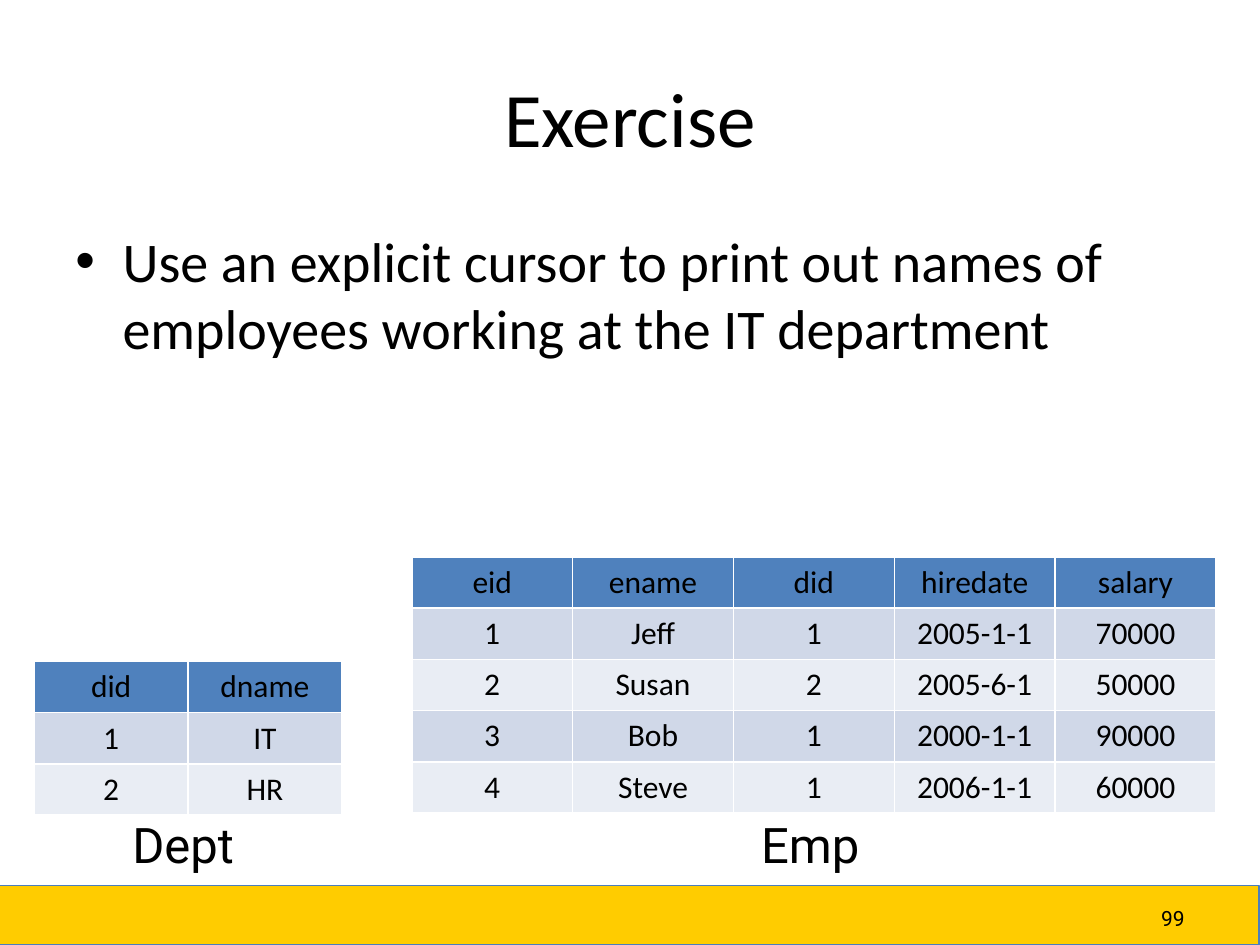
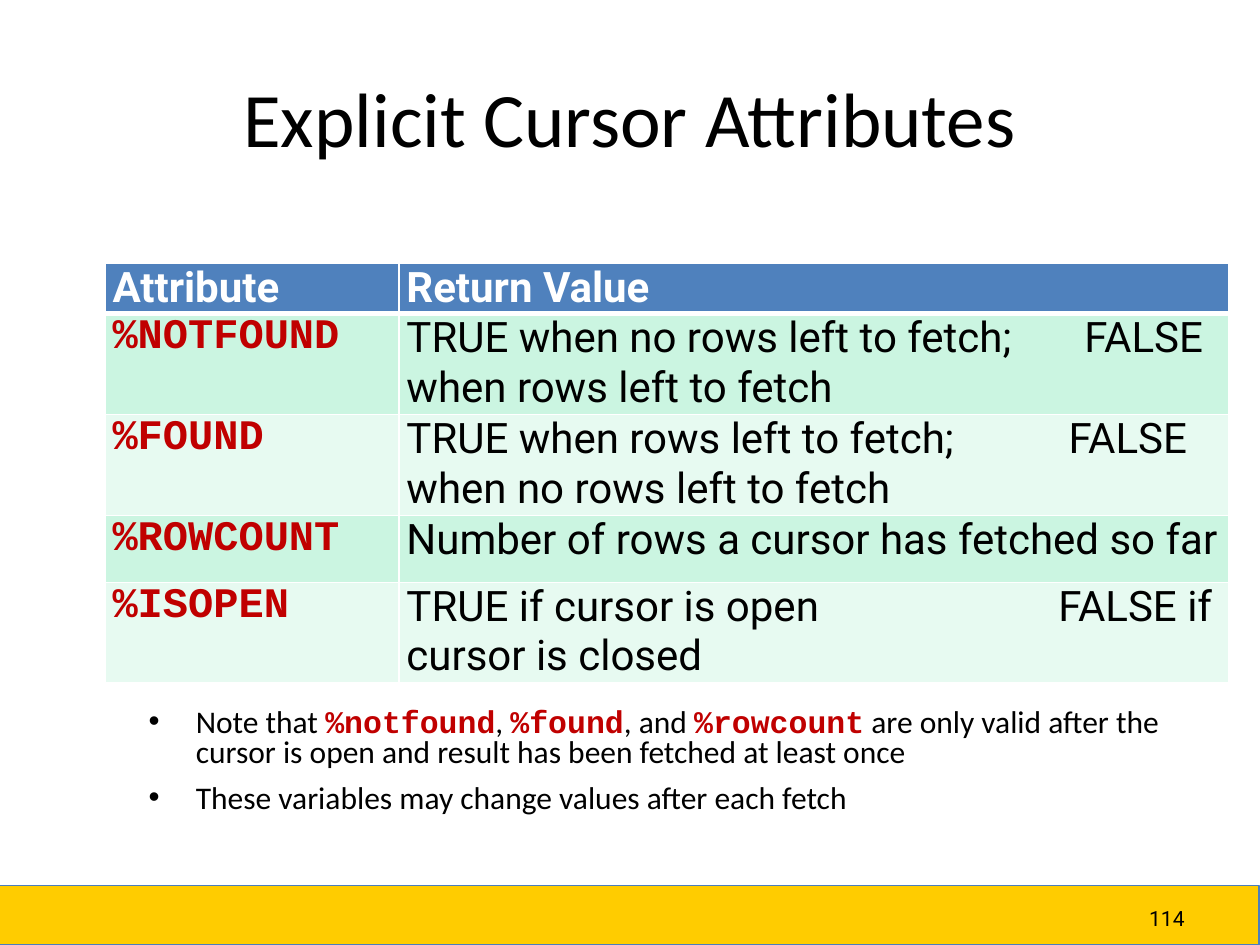
from lxml.etree import SubElement
from pptx import Presentation
from pptx.dml.color import RGBColor
from pptx.enum.shapes import MSO_SHAPE
from pptx.enum.text import MSO_ANCHOR, MSO_AUTO_SIZE, PP_ALIGN
from pptx.oxml.ns import qn
from pptx.util import Pt

EXERCISE = "Use an explicit cursor to print out names of employees working at the IT department"
DEPT_ROWS = [("did", "dname"), ("1", "IT"), ("2", "HR")]
EMP_ROWS = [
    ("eid", "ename", "did", "hiredate", "salary"),
    ("1", "Jeff", "1", "2005-1-1", "70000"),
    ("2", "Susan", "2", "2005-6-1", "50000"),
    ("3", "Bob", "1", "2000-1-1", "90000"),
    ("4", "Steve", "1", "2006-1-1", "60000"),
]
ATTRIBUTE_ROWS = [
    ("Attribute", "Return Value"),
    ("%NOTFOUND", "TRUE when no rows left to fetch;\tFALSE when rows left to fetch"),
    ("%FOUND", "TRUE when rows left to fetch;\tFALSE when no rows left to fetch"),
    ("%ROWCOUNT", "Number of rows a cursor has fetched so far"),
    ("%ISOPEN", "TRUE if cursor is open\tFALSE if cursor is closed"),
]
FALSE_TAB_STOPS = {1: 387.4, 2: 378.3, 4: 372.5}
ATTRIBUTE_NOTES = [
    ("Note that ", "%notfound", ", ", "%found", ", and ", "%rowcount",
     " are only valid after the cursor is open and result has been fetched at least once"),
    ("These variables may change values after each fetch",),
]

BLACK = RGBColor(0x00, 0x00, 0x00)
WHITE = RGBColor(0xFF, 0xFF, 0xFF)
GOLD = RGBColor(0xFF, 0xCC, 0x00)
BAND_LINE = RGBColor(0x4B, 0x7E, 0xBC)
HEADER_BLUE = RGBColor(0x4F, 0x81, 0xBD)
CODE_RED = RGBColor(0xC0, 0x00, 0x00)
BLUE_STRIPES = (RGBColor(0xD0, 0xD8, 0xE8), RGBColor(0xE9, 0xED, 0xF4))
GREEN_STRIPES = (RGBColor(0xCB, 0xF5, 0xE1), RGBColor(0xE7, 0xFA, 0xF1))

BODY_FONT, LABEL_FONT, CODE_FONT = "Calibri", "Roboto", "Courier New"
INDENT = 27


def write_text(frame, paragraphs, size, font=BODY_FONT, color=BLACK, bold=False,
               align=PP_ALIGN.LEFT, bullet=False, line_spacing=None, space_before=0, tab_stop=None):
    """Fill a frame with paragraphs of pieces; pieces that start with % are set as code."""
    for index, pieces in enumerate(paragraphs):
        paragraph = frame.add_paragraph() if index else frame.paragraphs[0]
        paragraph.alignment = align
        paragraph.space_before = Pt(space_before)
        if line_spacing:
            paragraph.line_spacing = line_spacing
        properties = paragraph._p.get_or_add_pPr()
        if bullet:
            properties.set("marL", str(Pt(INDENT)))
            properties.set("indent", str(-Pt(INDENT)))
            SubElement(properties, qn("a:buFont"), typeface="Arial")
            SubElement(properties, qn("a:buChar"), char="•")
        if tab_stop:
            tabs = SubElement(properties, qn("a:tabLst"))
            SubElement(tabs, qn("a:tab"), pos=str(Pt(tab_stop)), algn="l")
        for piece in pieces:
            is_code = piece.startswith("%")
            run = paragraph.add_run()
            run.text = piece
            run.font.size = Pt(size)
            run.font.name = CODE_FONT if is_code else font
            run.font.bold = is_code or bold
            run.font.color.rgb = CODE_RED if is_code else color


def add_text(slide, box, paragraphs, size, wrap=True, anchor=MSO_ANCHOR.TOP, side_inset=7.2, **style):
    """Add a text box at the given left, top, width and height."""
    frame = slide.shapes.add_textbox(*map(Pt, box)).text_frame
    frame.word_wrap = wrap
    frame.vertical_anchor = anchor
    frame.margin_left = frame.margin_right = Pt(side_inset)
    write_text(frame, paragraphs, size, **style)


def set_borders(cell, top=1, bottom=1):
    """Draw white borders around a table cell."""
    properties = cell._tc.get_or_add_tcPr()
    for index, (side, width) in enumerate(zip("LRTB", (1, 1, top, bottom))):
        line = properties.makeelement(qn(f"a:ln{side}"), {"w": str(Pt(width))})
        fill = SubElement(line, qn("a:solidFill"))
        SubElement(fill, qn("a:srgbClr"), val=str(WHITE))
        properties.insert(index, line)


def add_striped_table(slide, left, top, rows, widths, heights, stripes, size, insets=(7.2, 3.6),
                      header_line=1, header_style=None, tab_stops=None, **style):
    """Add a table with a blue header and alternating row fills."""
    shape = slide.shapes.add_table(len(rows), len(widths), Pt(left), Pt(top),
                                   Pt(sum(widths)), Pt(sum(heights)))
    table = shape.table
    for column, width in zip(table.columns, widths):
        column.width = Pt(width)
    for row_index, (row, height, texts) in enumerate(zip(table.rows, heights, rows)):
        row.height = Pt(height)
        is_header = row_index == 0
        row_style = {**style, **(header_style or {})} if is_header else style
        for cell, text in zip(row.cells, texts):
            cell.margin_left = cell.margin_right = Pt(insets[0])
            cell.margin_top = cell.margin_bottom = Pt(insets[1])
            cell.fill.solid()
            cell.fill.fore_color.rgb = HEADER_BLUE if is_header else stripes[(row_index - 1) % 2]
            set_borders(cell, top=header_line if row_index == 1 else 1,
                        bottom=header_line if is_header else 1)
            tab_stop = (tab_stops or {}).get(row_index) if "\t" in text else None
            write_text(cell.text_frame, [(text,)], size, tab_stop=tab_stop, **row_style)


def add_slide(presentation, title, number):
    """Add a slide with its title, gold footer band and slide number."""
    slide = presentation.slides.add_slide(presentation.slide_layouts[5])
    band = slide.shapes.add_shape(MSO_SHAPE.RECTANGLE, Pt(-0.6), Pt(506), Pt(720), Pt(34))
    band.shadow.inherit = False
    band.fill.solid()
    band.fill.fore_color.rgb = GOLD
    band.line.color.rgb = BAND_LINE
    band.line.width = Pt(0.75)
    heading = slide.shapes.title
    heading.left, heading.top, heading.width, heading.height = map(Pt, (36, 21.6, 648, 90))
    heading.text_frame.auto_size = MSO_AUTO_SIZE.NONE
    heading.text_frame.vertical_anchor = MSO_ANCHOR.MIDDLE
    write_text(heading.text_frame, [(title,)], 44, align=PP_ALIGN.CENTER)
    add_text(slide, (516, 510, 168, 28.8), [(number,)], 12, font=LABEL_FONT,
             align=PP_ALIGN.RIGHT, anchor=MSO_ANCHOR.MIDDLE)
    return slide


def add_exercise_slide(presentation):
    """Build the exercise with its two sample tables."""
    slide = add_slide(presentation, "Exercise", "99")
    add_text(slide, (36, 126, 648, 356.4), [(EXERCISE,)], 32, bullet=True, space_before=6.4)
    for name, rows, left, top, column_width, label_left in (
        ("Dept", DEPT_ROWS, 19.6, 378, 87.9, 69.8),
        ("Emp", EMP_ROWS, 235.3, 318.2, 91.9, 429.1),
    ):
        add_striped_table(slide, left, top, rows, [column_width] * len(rows[0]),
                          [29.3] * len(rows), BLUE_STRIPES, 18, align=PP_ALIGN.CENTER)
        add_text(slide, (label_left, 462.2, 74, 41), [(name,)], 28, font=LABEL_FONT,
                 wrap=False, side_inset=5.8)


def add_attributes_slide(presentation):
    """Build the table of cursor attributes and its notes."""
    slide = add_slide(presentation, "Explicit Cursor Attributes", "114")
    add_text(slide, (77.8, 401.8, 616.3, 108), ATTRIBUTE_NOTES, 18, bullet=True,
             line_spacing=0.8, space_before=9)
    add_striped_table(slide, 60, 150.5, ATTRIBUTE_ROWS, [168, 474], [28.8, 57.6, 57.6, 38.2, 57.6],
                      GREEN_STRIPES, 24, insets=(4.3, 0), header_line=3, font=LABEL_FONT,
                      header_style={"color": WHITE, "bold": True}, tab_stops=FALSE_TAB_STOPS)


def main():
    """Build and save the presentation."""
    presentation = Presentation()
    presentation.slide_width, presentation.slide_height = Pt(720), Pt(540)
    add_exercise_slide(presentation)
    add_attributes_slide(presentation)
    presentation.save("out.pptx")


if __name__ == "__main__":
    main()
